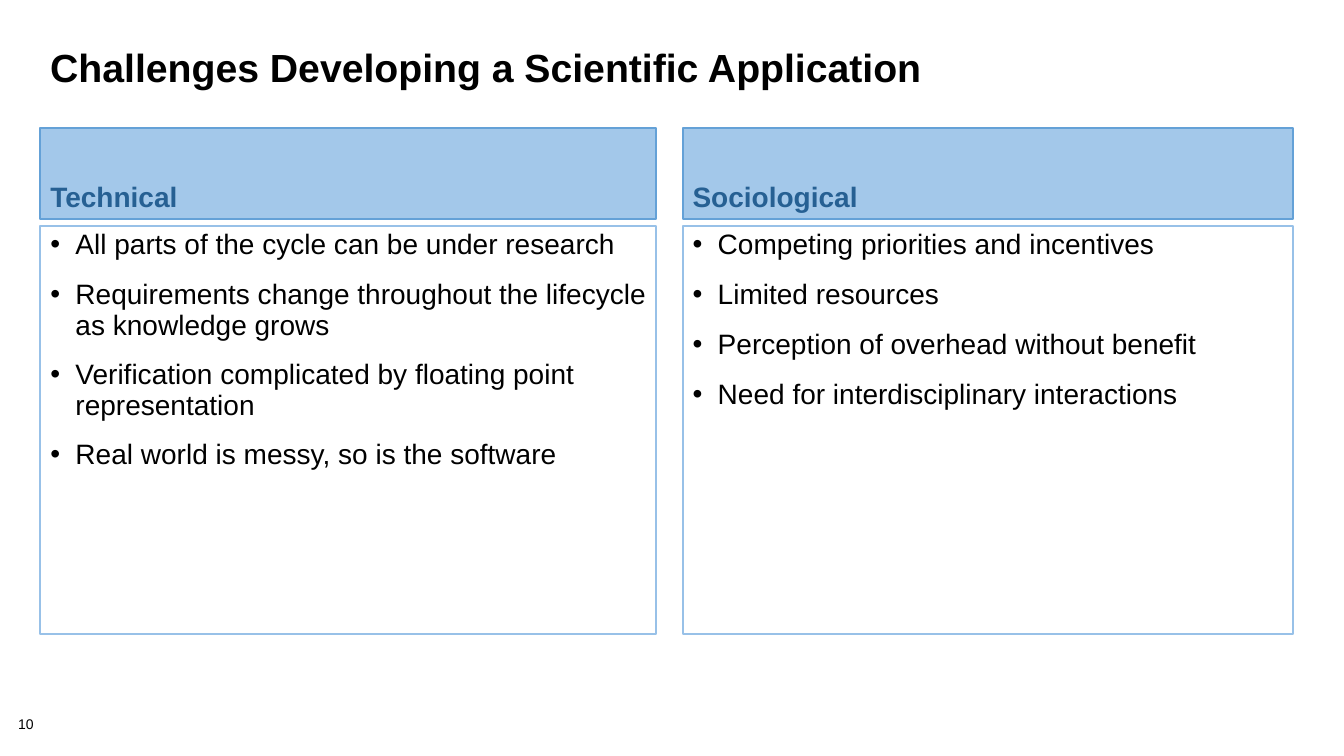
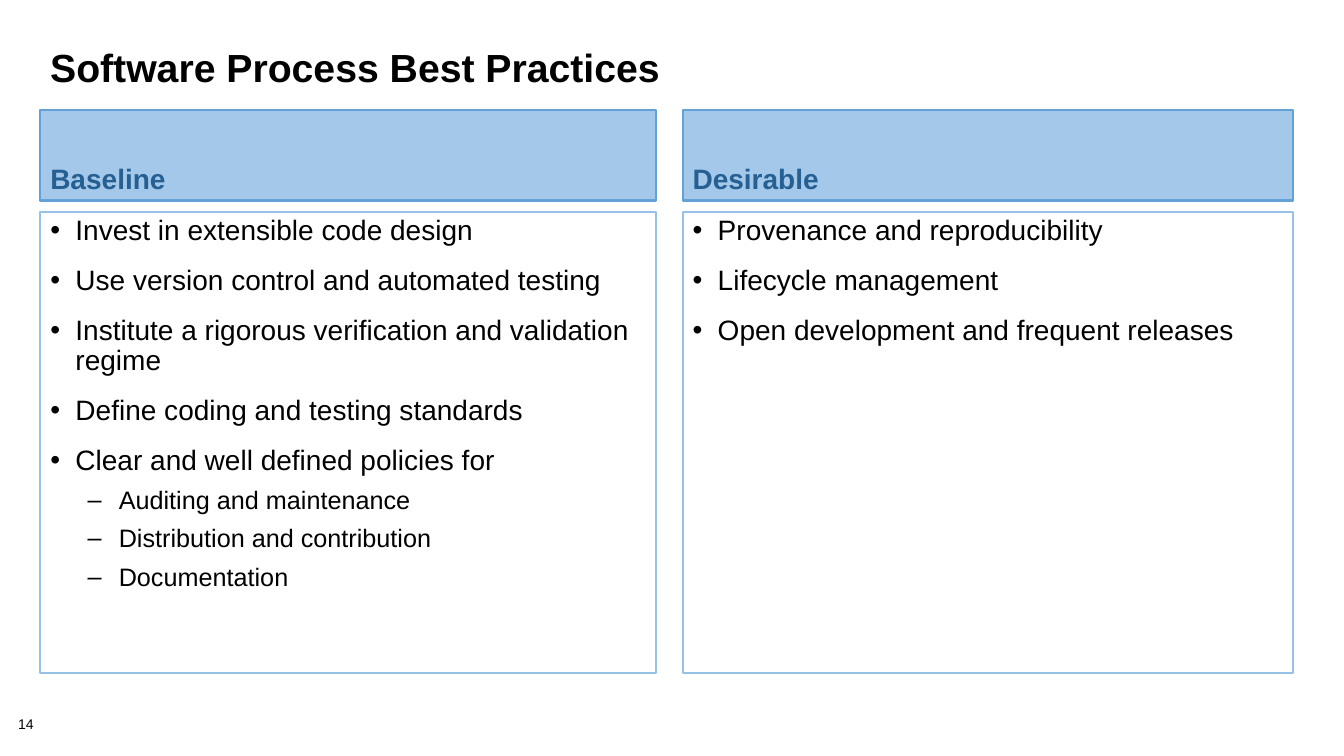
from lxml.etree import SubElement
from pptx import Presentation
from pptx.dml.color import RGBColor
from pptx.enum.shapes import MSO_SHAPE
from pptx.enum.text import MSO_ANCHOR, PP_ALIGN
from pptx.oxml.ns import qn
from pptx.util import Inches, Pt

FONT = "Arial"
BLACK = "000000"
HEAD_FILL, HEAD_LINE, HEAD_TEXT = "A3C8EA", "64A1D7", "266093"
BODY_LINE = "98C1E8"
HEAD_H = 0.9
COLUMNS = [(0.4, 6.11), (6.77, 6.05)]  # left, width
# bullet, left margin, hanging indent, size, space before
LEVELS = [("•", 0.25, 0.25, 20, 14), ("–", 0.68, 0.31, 18, 8)]

SLIDES = [
    dict(
        number="10", title="Challenges Developing a Scientific Application",
        head_top=1.27, body_top=2.24, body_h=4.05,
        panels=[
            ("Technical", [
                "All parts of the cycle can be under research",
                "Requirements change throughout the lifecycle as knowledge grows",
                "Verification complicated by floating point representation",
                "Real world is messy, so is the software",
            ]),
            ("Sociological", [
                "Competing priorities and incentives",
                "Limited resources",
                "Perception of overhead without benefit",
                "Need for interdisciplinary interactions",
            ]),
        ],
    ),
    dict(
        number="14", title="Software Process Best Practices",
        head_top=1.09, body_top=2.1, body_h=4.58,
        panels=[
            ("Baseline", [
                "Invest in extensible code design",
                "Use version control and automated testing",
                "Institute a rigorous verification and validation regime",
                "Define coding and testing standards",
                "Clear and well defined policies for",
                ["Auditing and maintenance",
                 "Distribution and contribution",
                 "Documentation"],
            ]),
            ("Desirable", [
                "Provenance and reproducibility",
                "Lifecycle management",
                "Open development and frequent releases",
            ]),
        ],
    ),
]


def color(code):
    return RGBColor.from_string(code)


def write(para, text, size=20, ink=BLACK, bold=False, lead=0.9, before=0):
    para.alignment = PP_ALIGN.LEFT
    para.line_spacing = lead
    para.space_before = Pt(before)
    font = para.font
    font.name, font.size, font.bold = FONT, Pt(size), bold
    font.color.rgb = color(ink)
    run = para.add_run()
    run.text = text
    run.font.name, run.font.size, run.font.bold = FONT, Pt(size), bold
    run.font.color.rgb = color(ink)


def add_mark(para, mark, margin, hang):
    """Give a paragraph a hanging bullet."""
    props = para._p.get_or_add_pPr()
    props.set("marL", str(Inches(margin)))
    props.set("indent", str(-Inches(hang)))
    tint = SubElement(props, qn("a:buClr"))
    SubElement(tint, qn("a:srgbClr"), val=BLACK)
    SubElement(props, qn("a:buFont"), typeface=FONT)
    SubElement(props, qn("a:buChar"), char=mark)


def add_label(slide, box, text, inset=True, **style):
    frame = slide.shapes.add_textbox(*map(Inches, box)).text_frame
    frame.word_wrap = True
    if not inset:
        frame.margin_left = frame.margin_right = 0
        frame.margin_top = frame.margin_bottom = 0
    write(frame.paragraphs[0], text, **style)


def add_box(slide, box, line, fill=None, anchor=MSO_ANCHOR.TOP):
    """Draw a bordered rectangle and return its text frame."""
    shape = slide.shapes.add_shape(MSO_SHAPE.RECTANGLE, *map(Inches, box))
    shape.shadow.inherit = False
    if fill:
        shape.fill.solid()
        shape.fill.fore_color.rgb = color(fill)
    else:
        shape.fill.background()
    shape.line.color.rgb = color(line)
    shape.line.width = Pt(1.5)
    frame = shape.text_frame
    frame.word_wrap = True
    frame.vertical_anchor = anchor
    return frame


def flatten(items, level=0):
    """Yield each item with its depth in the nested list."""
    for item in items:
        if isinstance(item, list):
            yield from flatten(item, level + 1)
        else:
            yield item, level


def add_list(frame, items):
    for i, (text, level) in enumerate(flatten(items)):
        para = frame.add_paragraph() if i else frame.paragraphs[0]
        mark, margin, hang, size, before = LEVELS[level]
        para.level = level
        add_mark(para, mark, margin, hang)
        write(para, text, size=size, before=before if i else 0)


def add_slide(deck, number, title, head_top, body_top, body_h, panels):
    slide = deck.slides.add_slide(deck.slide_layouts[6])
    add_label(slide, (0.18, 7.12, 0.56, 0.16), number, inset=False, size=10)
    add_label(slide, (0.4, 0.45, 12.44, 0.56), title,
              size=28, bold=True, lead=0.85)
    for (left, width), (head, items) in zip(COLUMNS, panels):
        frame = add_box(slide, (left, head_top, width, HEAD_H), HEAD_LINE,
                        fill=HEAD_FILL, anchor=MSO_ANCHOR.BOTTOM)
        write(frame.paragraphs[0], head, ink=HEAD_TEXT, bold=True)
        frame = add_box(slide, (left, body_top, width, body_h), BODY_LINE)
        add_list(frame, items)


def main():
    deck = Presentation()
    deck.slide_width, deck.slide_height = Inches(13.33), Inches(7.5)
    for content in SLIDES:
        add_slide(deck, **content)
    deck.save("out.pptx")


if __name__ == "__main__":
    main()
